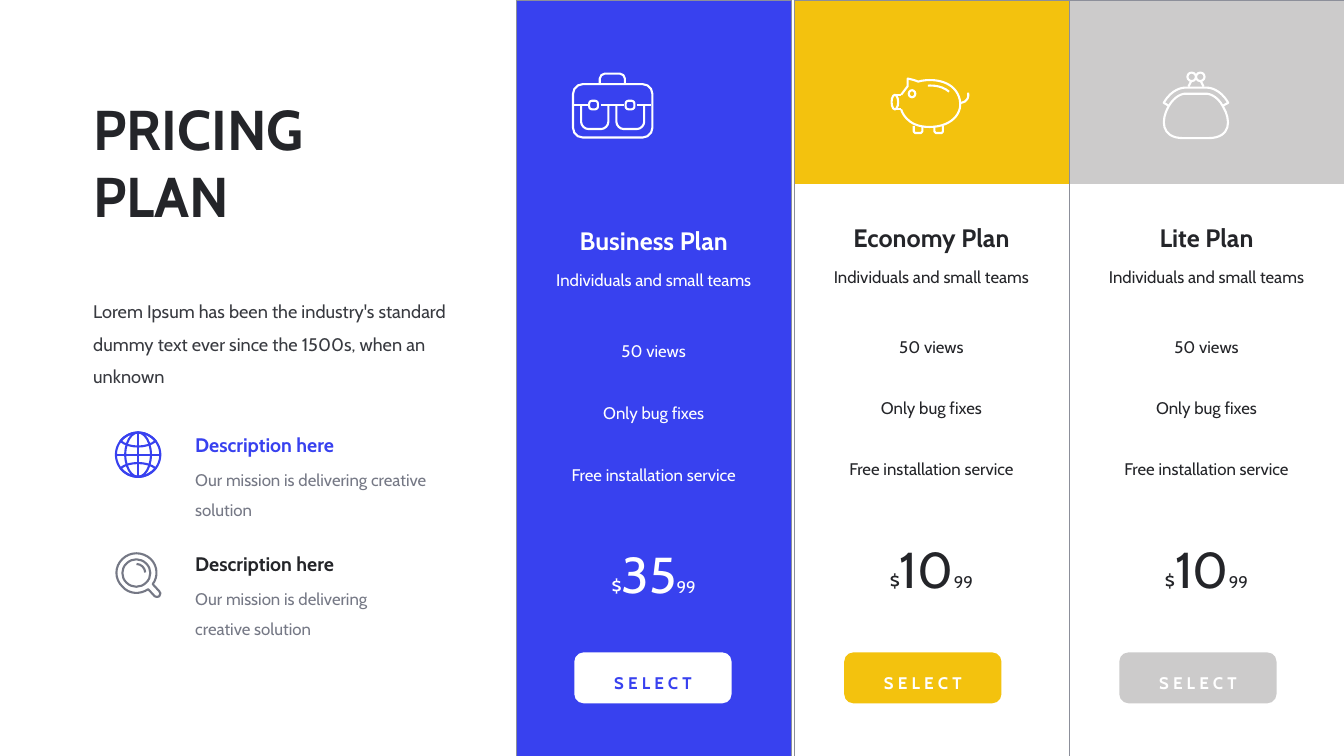
from lxml import etree
from pptx import Presentation
from pptx.dml.color import RGBColor
from pptx.enum.shapes import MSO_CONNECTOR, MSO_SHAPE
from pptx.enum.text import MSO_ANCHOR, PP_ALIGN
from pptx.oxml.ns import qn
from pptx.util import Pt

STRAIGHT = MSO_CONNECTOR.STRAIGHT
OVAL, ROUND = MSO_SHAPE.OVAL, MSO_SHAPE.ROUNDED_RECTANGLE
MIDDLE = MSO_ANCHOR.MIDDLE
CENTER, LEFT = PP_ALIGN.CENTER, PP_ALIGN.LEFT
FONT = "Cabin"
BLUE, YELLOW, SILVER, WHITE = "3841EF", "F3C20E", "CCCBCB", "FFFFFF"
DARK, GRAY, BORDER = "242529", "757885", "8C8F9A"
COLUMN_W = 393.1


def rgb(color):
    return RGBColor.from_string(color)


# Text
def style(p, size, color, bold=False, align=LEFT, spacing=1.5, before=None):
    p.alignment, p.line_spacing = align, spacing
    p.space_before = Pt(0.2 * size if before is None else before)
    p.font.name, p.font.size, p.font.bold = FONT, Pt(size), bold
    p.font.color.rgb = rgb(color)


def add_text(shapes, box, lines, **options):
    """Each line is (text, size, color, bold)."""
    tf = shapes.add_textbox(*map(Pt, box)).text_frame
    tf.word_wrap = True
    for i, (text, *look) in enumerate(lines):
        p = tf.add_paragraph() if i else tf.paragraphs[0]
        p.text = text
        style(p, *look, **options)


# Icon strokes
def stroke(sp, color):
    sp.shadow.inherit = False
    sp.fill.background()
    sp.line.color.rgb, sp.line.width = rgb(color), Pt(3)


def curve_points(start, seg):
    """Points along a segment, which give the outline its bounds."""
    if len(seg) == 2:
        return [seg]
    (x0, y0), (x1, y1, x2, y2, x3, y3) = start, seg
    weights = [((1 - t) ** 3, 3 * t * (1 - t) ** 2, 3 * t * t * (1 - t), t ** 3)
               for t in (i / 12 for i in range(1, 13))]
    return [(a * x0 + b * x1 + c * x2 + d * x3, a * y0 + b * y1 + c * y2 + d * y3)
            for a, b, c, d in weights]


def add_outline(shapes, color, *contours, closed=False):
    """A contour is a start, then (x, y) lines or (x1, y1, x2, y2, x, y) curves."""
    builder = shapes.build_freeform(*map(Pt, contours[0][0]))
    for start, *segments in contours:
        builder.move_to(*map(Pt, start))
        for seg in segments:
            points = curve_points(start, seg)
            builder.add_line_segments([(Pt(x), Pt(y)) for x, y in points], close=False)
            start = seg[-2:]
    sp = builder.convert_to_shape()
    stroke(sp, color)

    # True curves take the place of the straight steps
    track = next(sp._element.iter(qn("a:path")))
    for step in list(track):
        track.remove(step)
    for contour in contours:
        for i, seg in enumerate(contour):
            tag = "cubicBezTo" if len(seg) == 6 else "lnTo" if i else "moveTo"
            step = etree.SubElement(track, qn("a:" + tag))
            for x, y in zip(seg[::2], seg[1::2]):
                etree.SubElement(step, qn("a:pt"), x=str(Pt(x) - sp.left), y=str(Pt(y) - sp.top))
        if closed:
            etree.SubElement(track, qn("a:close"))


def add_bracket(shapes, color, left, right, start, end, r):
    """A three-sided outline, open at start, with round corners at end."""
    turn = end - r if end > start else end + r
    mid = (turn + end) / 2
    add_outline(shapes, color, [
        (left, start), (left, turn), (left, mid, left + r / 2, end, left + r, end),
        (right - r, end), (right - r / 2, end, right, mid, right, turn), (right, start)])


def add_stroked(shapes, kind, color, x, y, w, h, radius=0):
    sp = shapes.add_shape(kind, Pt(x), Pt(y), Pt(w), Pt(h))
    if radius:
        sp.adjustments[0] = radius / min(w, h)
    stroke(sp, color)


def add_line(shapes, color, *ends):
    line = shapes.add_connector(STRAIGHT, *map(Pt, ends))
    line.line.color.rgb, line.line.width = rgb(color), Pt(3)
    etree.SubElement(line._element.spPr, qn("a:effectLst"))


# Icons
def draw_briefcase(shapes, color):
    add_bracket(shapes, color, 856.8, 892.8, 120.2, 105.1, 7.2)
    for left, right in ((830.2, 869), (880.6, 920.2)):
        add_bracket(shapes, color, left, right, 151.2, 184.3, 10)
    add_stroked(shapes, ROUND, color, 818.6, 120.2, 113.4, 76.3, 14)
    for x in (841.7, 893.8):
        add_stroked(shapes, ROUND, color, x, 144, 12.5, 12.2, 4)
    for x1, x2 in ((818.6, 841.7), (858.2, 891.4), (909.4, 929.5)):
        add_line(shapes, color, x1, 150.5, x2, 150.5)


def draw_piggy_bank(shapes, color):
    add_outline(shapes, color, [
        (1287.4, 156.2), (1287.4, 156.2, 1293.1, 181.4, 1327.7, 181.4),
        (1362.2, 181.4, 1380.2, 157.7, 1368, 133.9),
        (1355.8, 110.9, 1322.6, 113, 1311.8, 116.6),
        (1305.4, 113.8, 1296.7, 112.3, 1296.7, 112.3), (1296.7, 123.1), (1287.4, 135.4)])
    add_outline(shapes, color, [(1372.3, 146.9), (1372.3, 146.9, 1385.3, 146.9, 1383.1, 132.5)])
    add_outline(shapes, color, [(1325.5, 122.4), (1325.5, 122.4, 1343.5, 120.2, 1355.8, 131)])
    for x in (1305.4, 1334.9):
        add_bracket(shapes, color, x, x + 12.2, 180, 190.1, 2)
    add_stroked(shapes, OVAL, color, 1298.2, 128.9, 9.4, 10.1)
    add_stroked(shapes, OVAL, color, 1273.7, 135.4, 9.4, 20.9)
    for y in (135.4, 156.2):
        add_line(shapes, color, 1278.7, y, 1287.4, y)


def draw_purse(shapes, color):
    add_outline(shapes, color, [
        (1747.4, 152.6), (1738.1, 134.6, 1724.4, 133.9, 1724.4, 133.9), (1692, 133.9),
        (1692, 133.9, 1679, 134.6, 1669, 152.6),
        (1658.9, 170.6, 1657.4, 197.3, 1690.6, 197.3), (1725.8, 197.3),
        (1759.7, 197.3, 1758.2, 170.6, 1747.4, 152.6)], closed=True)
    add_outline(shapes, color, [
        (1746.7, 151.2), (1754.6, 146.9), (1743.1, 126.7, 1727.3, 125.3, 1725.1, 125.3),
        (1692, 125.3), (1689.8, 125.3, 1674, 126.7, 1662.5, 146.9), (1669.7, 151.2)])
    for x, top, foot in ((1696.3, 1702.1, 1697.8), (1708.6, 1715, 1719.4)):
        add_stroked(shapes, OVAL, color, x, 103.7, 12.2, 12.2)
        add_line(shapes, color, top, 115.2, foot, 123.8)


def draw_globe(shapes, color):
    for edge, inner, mid, outer, far in ((630, 635, 637.9, 617.8, 622.8),
                                         (669, 664, 661.5, 681.2, 676.2)):
        add_outline(shapes, color, [
            (172.1, edge), (177.8, inner, 187.2, mid, 197.3, mid),
            (207.4, mid, 216, inner, 222.5, edge), (216, far, 207.4, outer, 197.3, outer),
            (187.2, outer, 177.8, far, 172.1, edge)], closed=True)
    for x, w in ((165.6, 63.4), (178.9, 36.7)):
        add_stroked(shapes, OVAL, color, x, 617.8, w, 63.4)
    add_line(shapes, color, 197.3, 618.5, 197.3, 680.4)
    add_line(shapes, color, 166.3, 649.4, 227.5, 649.4)


def draw_magnifier(shapes, color):
    frame = [(227.5, 844.6), (218.2, 834.5), (226.1, 823.7, 225.4, 808.6, 215.3, 798.5),
             (203.8, 787.7, 185.8, 787.7, 175, 798.5), (163.4, 809.3, 163.4, 827.3, 175, 838.1),
             (184.3, 848.9, 200.2, 849.6, 211.7, 841.7), (221, 851.8),
             (222.5, 853.2, 226.1, 853.2, 227.5, 851.8),
             (229.7, 848.9, 229.7, 846, 227.5, 844.6)]
    lens = [(180.7, 832.3), (172.8, 825.1, 172.8, 812.2, 180.7, 805),
            (188.6, 797, 200.9, 797, 208.8, 805), (216.7, 812.2, 216.7, 825.1, 208.8, 832.3),
            (200.9, 840.2, 188.6, 840.2, 180.7, 832.3)]
    add_outline(shapes, color, frame, lens, closed=True)
    add_outline(shapes, color, [(195.1, 805.7), (201.6, 805.7, 207.4, 811.4, 207.4, 817.9)])


# Plan columns
def set_borders(cell, drawn):
    tc_pr = cell._tc.get_or_add_tcPr()
    for i, side in enumerate("LRTB"):
        ln = etree.Element(qn("a:ln" + side), w=str(Pt(0.5)))
        if side in drawn:
            fill = etree.SubElement(ln, qn("a:solidFill"))
            etree.SubElement(fill, qn("a:srgbClr"), val=BORDER)
        else:
            etree.SubElement(ln, qn("a:noFill"))
        tc_pr.insert(i, ln)


def add_plan(shapes, x, heights, name, price, color, head_fill, body_fill=None):
    rows = [[], [(name, 36, True), ("Individuals and small teams", 24, False)],
            [("50 views", 24, False)], [("Only bug fixes", 24, False)],
            [("Free installation service", 24, False)], [], []]
    table = shapes.add_table(7, 1, Pt(x), 0, Pt(COLUMN_W), Pt(sum(heights))).table
    table.first_row = table.horz_banding = False
    for i, (height, lines) in enumerate(zip(heights, rows)):
        table.rows[i].height = Pt(height)
        cell = table.cell(i, 0)
        cell.vertical_anchor = MIDDLE
        fill = body_fill if i else head_fill
        if fill:
            cell.fill.solid()
            cell.fill.fore_color.rgb = rgb(fill)
        else:
            cell.fill.background()
        set_borders(cell, "LR" + {0: "T", 6: "B"}.get(i, ""))
        for j, (text, size, bold) in enumerate(lines):
            p = cell.text_frame.add_paragraph() if j else cell.text_frame.paragraphs[0]
            p.text = text
            style(p, size, color, bold, CENTER)
    p = table.cell(5, 0).text_frame.paragraphs[0]
    style(p, 24, color, align=CENTER)
    for text, size in (("$", 28), (price, 72), ("99", 24)):
        r = p.add_run()
        r.text, r.font.size = text, Pt(size)


def add_button(shapes, x, fill, color):
    sp = shapes.add_shape(ROUND, Pt(x), Pt(932), Pt(224.6), Pt(72.7))
    sp.adjustments[0] = 0.18
    sp.shadow.inherit = False
    sp.fill.solid()
    sp.fill.fore_color.rgb = rgb(fill)
    sp.line.fill.background()
    sp.text_frame.vertical_anchor = MIDDLE
    p = sp.text_frame.paragraphs[0]
    r = p.add_run()
    r.text = "SELECT"
    r._r.get_or_add_rPr().set("spc", "600")
    style(p, 24, color, True, CENTER)


def main():
    prs = Presentation()
    prs.slide_width, prs.slide_height = Pt(1920), Pt(1080)
    shapes = prs.slides.add_slide(prs.slide_layouts[6]).shapes

    # Pricing columns
    tall = (265, 186.5, 88.2, 88.2, 88.2, 167.4, 196.5)
    even = (263, 183, 87, 87, 87, 171, 202)
    plans = (
        (737.3, tall, "Business Plan", "35", WHITE, BLUE, BLUE, 820.5, WHITE, BLUE, draw_briefcase),
        (1527, even, "Lite Plan", "10", DARK, SILVER, None, 1599, SILVER, WHITE, draw_purse),
        (1134, even, "Economy Plan", "10", DARK, YELLOW, None, 1206, YELLOW, WHITE, draw_piggy_bank),
    )
    for *plan, button_x, button_fill, button_color, draw_icon in plans:
        add_plan(shapes, *plan)
        add_button(shapes, button_x, button_fill, button_color)
        draw_icon(shapes.add_group_shape().shapes, WHITE)

    # Title and introduction
    add_text(shapes, (126, 131.8, 663.8, 209.5), [("PRICING\vPLAN", 80, DARK, True)],
             spacing=1, before=0)
    add_text(shapes, (126, 409.7, 555.8, 465), [(
        "Lorem Ipsum has been the industry's standard dummy text ever since the 1500s, "
        "when an unknown", 26, "383A40", False)], before=12.7)

    # Descriptions with icons
    for y, width, color, draw_icon, icon_color in (
            (597.6, 353.5, BLUE, draw_globe, BLUE), (767.5, 323.3, DARK, draw_magnifier, GRAY)):
        group = shapes.add_group_shape().shapes
        draw_icon(group, icon_color)
        add_text(group, (271.8, y, width, 151.2), [
            ("Description here", 28, color, True),
            ("Our mission is delivering creative solution", 24, GRAY, False)])

    prs.save("out.pptx")


if __name__ == "__main__":
    main()
